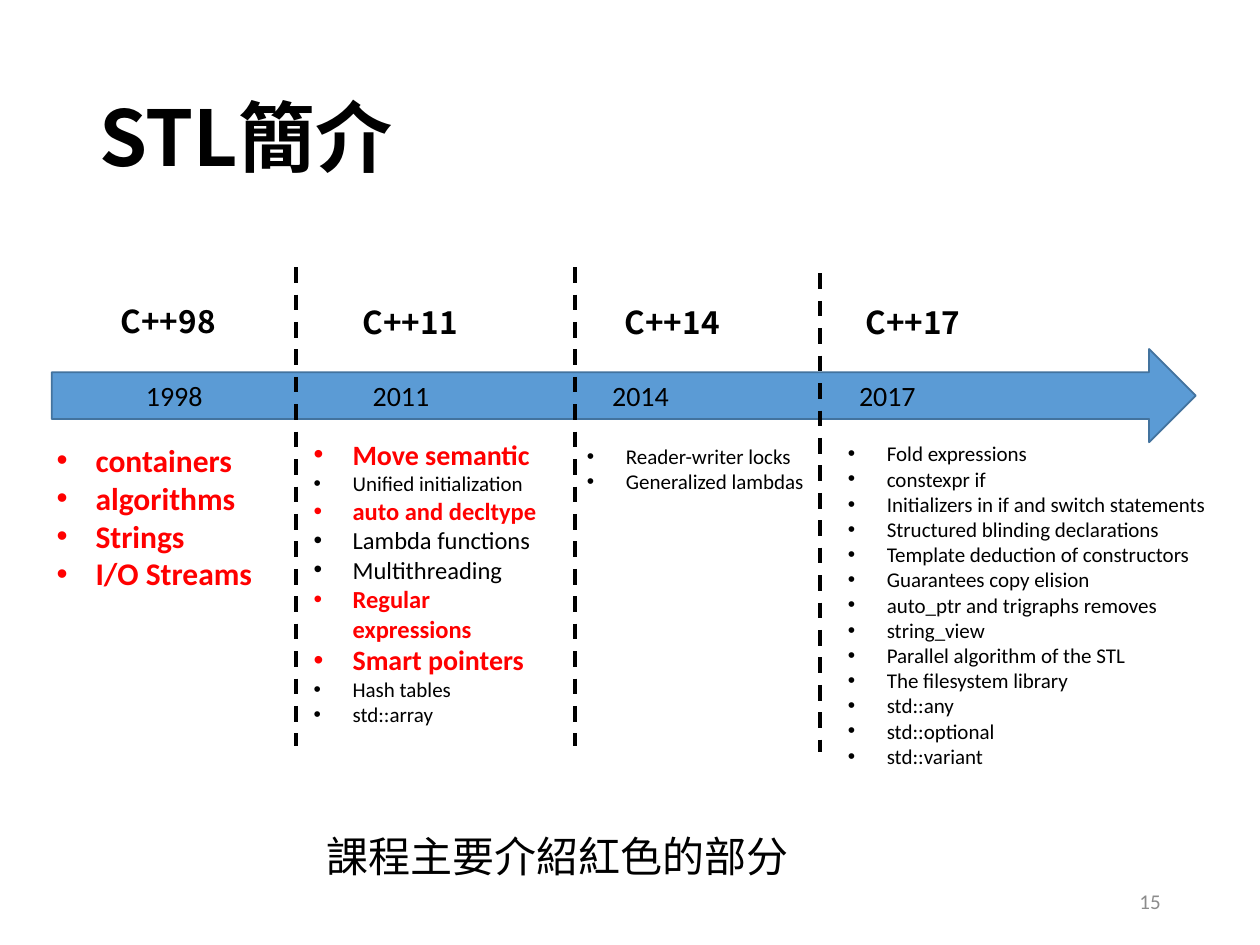
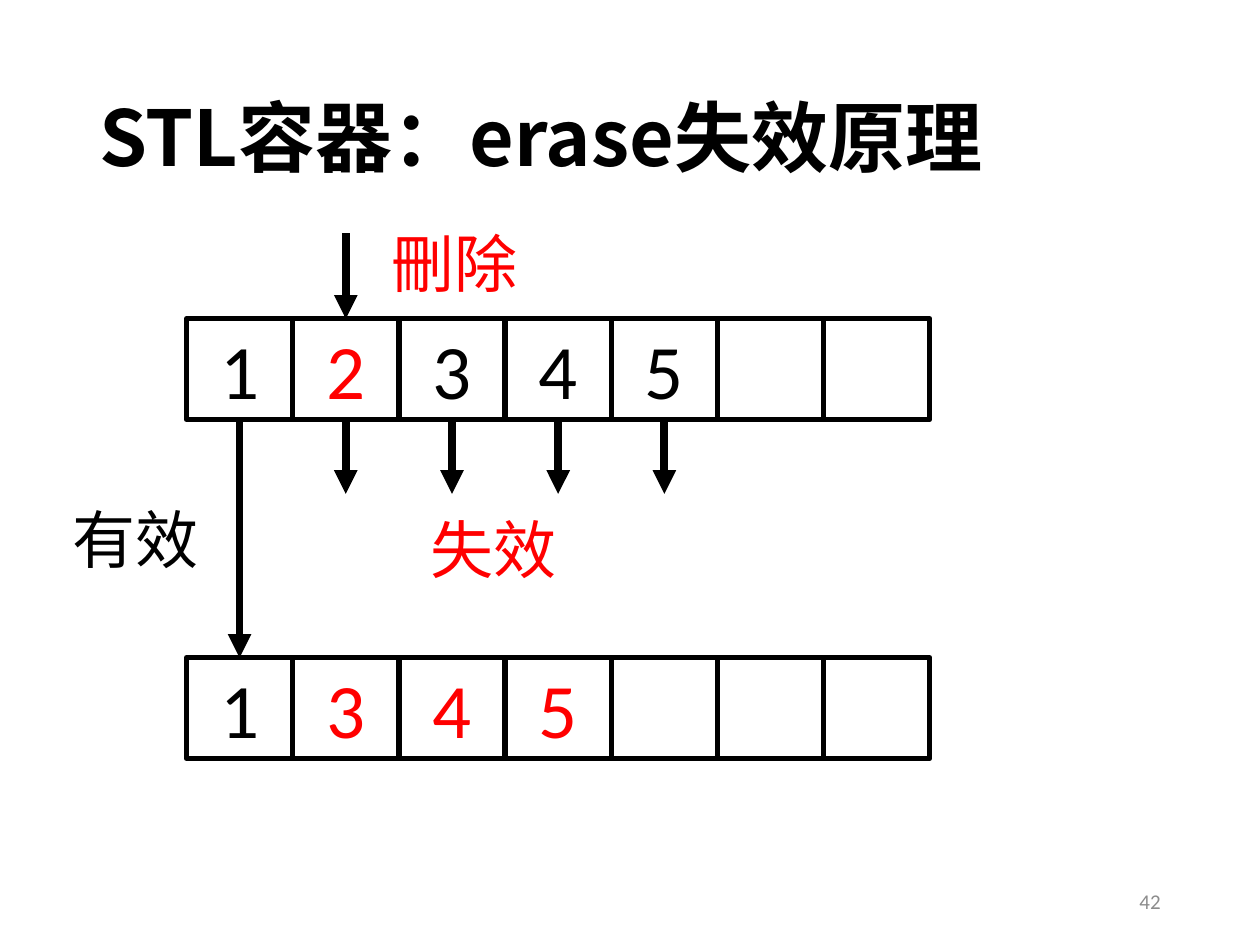
from dataclasses import dataclass

import lxml.etree
import pptx
import pptx.dml.color
import pptx.enum.dml
import pptx.enum.shapes
import pptx.enum.text
import pptx.oxml.ns
import pptx.util

Inches = pptx.util.Inches
Pt = pptx.util.Pt
Align = pptx.enum.text.PP_ALIGN
Anchor = pptx.enum.text.MSO_ANCHOR
Shape = pptx.enum.shapes.MSO_SHAPE
qn = pptx.oxml.ns.qn


@dataclass(frozen=True)
class Theme:
    black: str = "000000"
    red: str = "FF0000"
    white: str = "FFFFFF"
    gray: str = "8C8C8C"
    blue: str = "5B9BD5"
    blue_edge: str = "43739E"
    body_font: str = "Calibri"
    heading_font: str = "Noto Sans CJK SC"
    title_size: int = 44
    value_size: int = 44
    note_size: int = 36
    caption_size: int = 24
    heading_size: int = 18
    large_size: int = 16
    medium_size: int = 14
    small_size: int = 12


THEME = Theme()
BULLET_INDENT = 0.31

# C++ versions: name, year, heading box, year position along the arrow
VERSIONS = [
    ("C++98", "1998", (0.86, 2.35, 1.34, 0.4), 0.65),
    ("C++11", "2011", (2.78, 2.36, 1.21, 0.4), 2.45),
    ("C++14", "2014", (4.86, 2.36, 1.17, 0.4), 4.35),
    ("C++17", "2017", (6.77, 2.36, 1.23, 0.4), 6.31),
]
DIVIDERS = [(2.35, 2.12), (4.56, 2.12), (6.51, 2.17)]
DIVIDER_LENGTH = 3.8

# Feature lists: box, then (text, size, covered in the course)
SMALL, MEDIUM, LARGE = THEME.small_size, THEME.medium_size, THEME.large_size
FEATURES = [
    ((0.35, 3.45, 2.15, 1.31),
     [(name, THEME.heading_size, True)
      for name in ("containers", "algorithms", "Strings", "I/O Streams")]),
    ((2.39, 3.42, 2.05, 2.49),
     [("Move semantic", LARGE, True),
      ("Unified initialization", SMALL, False),
      ("auto and decltype", MEDIUM, True),
      ("Lambda functions", MEDIUM, False),
      ("Multithreading", MEDIUM, False),
      ("Regular expressions", MEDIUM, True),
      ("Smart pointers", LARGE, True),
      ("Hash tables", SMALL, False),
      ("std::array", SMALL, False)]),
    ((4.56, 3.47, 2.01, 0.5),
     [(name, SMALL, False)
      for name in ("Reader-writer locks", "Generalized lambdas")]),
    ((6.63, 3.45, 3.05, 2.73),
     [(name, SMALL, False) for name in (
         "Fold expressions", "constexpr if",
         "Initializers in if and switch statements",
         "Structured blinding declarations",
         "Template deduction of constructors", "Guarantees copy elision",
         "auto_ptr and trigraphs removes", "string_view",
         "Parallel algorithm of the STL", "The filesystem library",
         "std::any", "std::optional", "std::variant")]),
]

# Vector memory: seven equal cells in a row
CELL_COUNT = 7
ROW_LEFT, ROW_WIDTH, CELL_HEIGHT = 1.48, 5.9, 0.8
CELL_WIDTH = ROW_WIDTH / CELL_COUNT
BEFORE_TOP, AFTER_TOP = 2.53, 5.22
BEFORE_BOTTOM = BEFORE_TOP + CELL_HEIGHT


def rgb(color):
    return pptx.dml.color.RGBColor.from_string(color)


def inches(box):
    return [Inches(length) for length in box]


def add_run(paragraph, text, size, color=THEME.black, bold=False,
            font=THEME.body_font):
    run = paragraph.add_run()
    run.text = text
    run.font.size = Pt(size)
    run.font.bold = bold
    run.font.name = font
    run.font.color.rgb = rgb(color)
    east_asian = lxml.etree.SubElement(run.font._element, qn("a:ea"))
    east_asian.set("typeface", THEME.heading_font)


def add_text_frame(slide, box, wrap=True):
    frame = slide.shapes.add_textbox(*inches(box)).text_frame
    frame.word_wrap = wrap
    if not wrap:
        frame.auto_size = pptx.enum.text.MSO_AUTO_SIZE.SHAPE_TO_FIT_TEXT
    return frame


def add_label(slide, box, text, size, wrap=True, **style):
    frame = add_text_frame(slide, box, wrap)
    add_run(frame.paragraphs[0], text, size, **style)
    return frame


def add_title(slide, text):
    frame = add_label(slide, (0.69, 0.4, 8.62, 1.45), text, THEME.title_size,
                      bold=True, font=THEME.heading_font)
    frame.vertical_anchor = Anchor.MIDDLE
    frame.paragraphs[0].line_spacing = 0.9


def add_slide_number(slide, number):
    frame = add_label(slide, (7.06, 6.95, 2.25, 0.4), str(number),
                      THEME.small_size, color=THEME.gray)
    frame.vertical_anchor = Anchor.MIDDLE
    frame.paragraphs[0].alignment = Align.RIGHT


def add_note(slide, left, top, text, color):
    add_label(slide, (left, top, 1.21, 0.71), text, THEME.note_size,
              wrap=False, color=color, font=THEME.heading_font)


def add_filled_shape(slide, preset, box, fill, edge, edge_width):
    shape = slide.shapes.add_shape(preset, *inches(box))
    shape.shadow.inherit = False
    shape.fill.solid()
    shape.fill.fore_color.rgb = rgb(fill)
    shape.line.color.rgb = rgb(edge)
    shape.line.width = Pt(edge_width)
    shape.text_frame.vertical_anchor = Anchor.MIDDLE
    return shape


def add_vertical_line(slide, x, top, bottom, width):
    line = slide.shapes.add_connector(
        pptx.enum.shapes.MSO_CONNECTOR.STRAIGHT,
        *inches((x, top, x, bottom)))
    line.line.color.rgb = rgb(THEME.black)
    line.line.width = Pt(width)
    lxml.etree.SubElement(line._element.spPr, qn("a:effectLst"))
    return line


def add_divider(slide, x, top):
    divider = add_vertical_line(slide, x, top, top + DIVIDER_LENGTH, 2.25)
    divider.line.dash_style = pptx.enum.dml.MSO_LINE.DASH


def add_down_arrow(slide, cell, top, bottom):
    """Draw an arrow along the centre line of the cell with this index."""
    x = ROW_LEFT + (cell + 0.5) * CELL_WIDTH
    arrow = add_vertical_line(slide, x, top, bottom, 4.5)
    head = lxml.etree.SubElement(arrow.line._get_or_add_ln(), qn("a:tailEnd"))
    head.set("type", "triangle")


def add_year_arrow(slide):
    """Draw the time arrow, with its years set on tab stops."""
    arrow = add_filled_shape(slide, Shape.RIGHT_ARROW,
                             (0.41, 2.77, 9.08, 0.74),
                             THEME.blue, THEME.blue_edge, 1)
    paragraph = arrow.text_frame.paragraphs[0]
    paragraph.alignment = Align.LEFT
    tab_list = lxml.etree.SubElement(paragraph._p.get_or_add_pPr(),
                                     qn("a:tabLst"))
    for _, year, _, offset in VERSIONS:
        tab = lxml.etree.SubElement(tab_list, qn("a:tab"))
        tab.set("pos", str(Inches(offset)))
        tab.set("algn", "l")
        add_run(paragraph, "\t" + year, THEME.large_size)


def set_bullet(paragraph):
    properties = paragraph._p.get_or_add_pPr()
    properties.set("marL", str(Inches(BULLET_INDENT)))
    properties.set("indent", str(-Inches(BULLET_INDENT)))
    lxml.etree.SubElement(properties, qn("a:buFont")).set("typeface", "Arial")
    lxml.etree.SubElement(properties, qn("a:buChar")).set("char", "•")


def add_feature_list(slide, box, features):
    frame = add_text_frame(slide, box)
    for index, (name, size, covered) in enumerate(features):
        paragraph = frame.add_paragraph() if index else frame.paragraphs[0]
        set_bullet(paragraph)
        add_run(paragraph, name, size, bold=covered,
                color=THEME.red if covered else THEME.black)


def add_memory_row(slide, top, values, red_values):
    for cell in range(CELL_COUNT):
        box = (ROW_LEFT + cell * CELL_WIDTH, top, CELL_WIDTH, CELL_HEIGHT)
        shape = add_filled_shape(slide, Shape.RECTANGLE, box,
                                 THEME.white, THEME.black, 3)
        if cell < len(values):
            value = values[cell]
            paragraph = shape.text_frame.paragraphs[0]
            paragraph.alignment = Align.CENTER
            add_run(paragraph, value, THEME.value_size,
                    THEME.red if value in red_values else THEME.black)


def add_slide(presentation, title, number):
    slide = presentation.slides.add_slide(presentation.slide_layouts[6])
    add_title(slide, title)
    add_slide_number(slide, number)
    return slide


def build_history(presentation):
    slide = add_slide(presentation, "STL簡介", 15)
    add_year_arrow(slide)
    for version, _, box, _ in VERSIONS:
        add_label(slide, box, version, THEME.heading_size, bold=True,
                  font=THEME.heading_font)
    for x, top in DIVIDERS:
        add_divider(slide, x, top)
    for box, features in FEATURES:
        add_feature_list(slide, box, features)
    add_label(slide, (2.49, 6.54, 3.9, 0.5), "課程主要介紹紅色的部分",
              THEME.caption_size, wrap=False)


def build_erase(presentation):
    slide = add_slide(presentation, "STL容器：erase失效原理", 42)
    add_memory_row(slide, BEFORE_TOP, "12345", red_values="2")
    add_memory_row(slide, AFTER_TOP, "1345", red_values="345")
    add_down_arrow(slide, 1, 1.85, BEFORE_TOP)
    add_note(slide, 3.01, 1.73, "刪除", THEME.red)
    add_down_arrow(slide, 0, BEFORE_BOTTOM, AFTER_TOP)
    add_note(slide, 0.48, 3.92, "有效", THEME.black)
    for invalid_cell in range(1, 5):
        add_down_arrow(slide, invalid_cell, BEFORE_BOTTOM, 3.92)
    add_note(slide, 3.32, 4, "失效", THEME.red)


def main():
    presentation = pptx.Presentation()
    presentation.slide_width = Inches(10)
    presentation.slide_height = Inches(7.5)
    build_history(presentation)
    build_erase(presentation)
    presentation.save("out.pptx")


if __name__ == "__main__":
    main()
